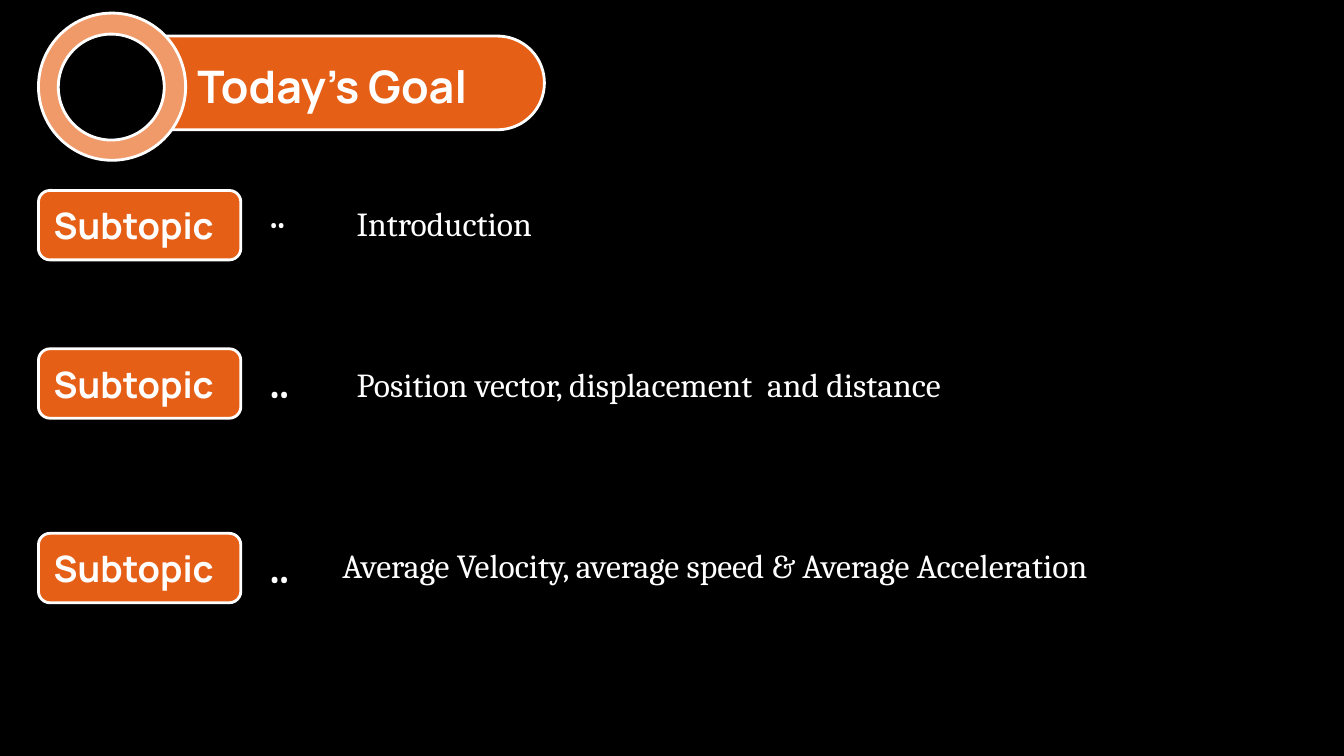
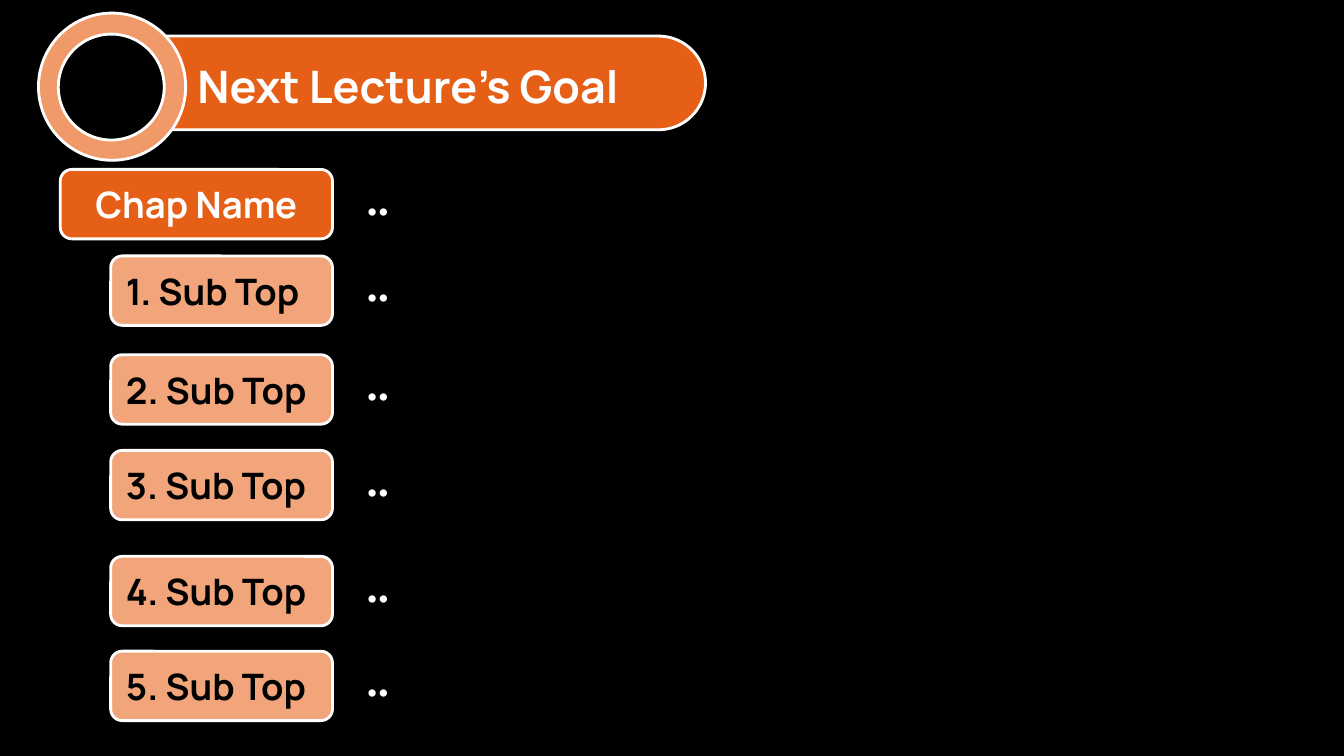
from dataclasses import dataclass

from pptx import Presentation
from pptx.dml.color import RGBColor
from pptx.enum.shapes import MSO_SHAPE
from pptx.enum.text import MSO_ANCHOR, MSO_AUTO_SIZE, PP_ALIGN
from pptx.util import Cm, Pt


@dataclass(frozen=True)
class Theme:
    black: RGBColor = RGBColor(0x00, 0x00, 0x00)
    white: RGBColor = RGBColor(0xFF, 0xFF, 0xFF)
    orange: RGBColor = RGBColor(0xE5, 0x5F, 0x17)
    ring: RGBColor = RGBColor(0xF0, 0x9A, 0x6A)
    peach: RGBColor = RGBColor(0xF2, 0xA5, 0x7A)
    heading_font: str = "Manrope"
    topic_font: str = "Cambria"
    dots_font: str = "Times New Roman"
    title_size: int = 32
    label_size: int = 26
    topic_size: int = 24
    dots_size: int = 30
    outline: int = 2


THEME = Theme()
DOTS = ".."
LABEL_HEIGHT = 1.75

TODAY = {"title": "Today’s Goal", "pill_width": 11, "title_width": 8.2}
TODAY_TOPICS = [
    {"text": "Introduction", "top": 4.8, "left": 8.74,
     "drop": 0.18, "dots_drop": -0.02, "dots_size": THEME.topic_size},
    {"text": "Position vector, displacement  and distance", "top": 8.79, "left": 8.74,
     "drop": 0.25, "dots_drop": 0.07, "dots_size": THEME.dots_size},
    {"text": "Average Velocity, average speed & Average Acceleration", "top": 13.44, "left": 8.38,
     "drop": 0.17, "dots_drop": 0.07, "dots_size": THEME.dots_size},
]

NEXT = {"title": "Next Lecture’s Goal", "pill_width": 15.06, "title_width": 12.07}
CHAPTER = ("Chap Name", 4.27)
SUBTOPIC_TOPS = [6.45, 8.94, 11.35, 14.02, 16.41]


def style_text(shape, text, font, size, color, bold=True, align=PP_ALIGN.LEFT):
    frame = shape.text_frame
    frame.text = text
    frame.word_wrap = True
    frame.auto_size = MSO_AUTO_SIZE.NONE
    paragraph = frame.paragraphs[0]
    paragraph.alignment = align
    paragraph.font.name = font
    paragraph.font.size = Pt(size)
    paragraph.font.bold = bold
    paragraph.font.color.rgb = color
    return frame


def add_outlined(slide, preset, left, top, width, height, fill):
    shape = slide.shapes.add_shape(preset, Cm(left), Cm(top), Cm(width), Cm(height))
    shape.shadow.inherit = False
    shape.fill.solid()
    shape.fill.fore_color.rgb = fill
    shape.line.color.rgb = THEME.white
    shape.line.width = Pt(THEME.outline)
    return shape


def add_label(slide, text, left, top, width, fill, color, align=PP_ALIGN.LEFT):
    label = add_outlined(slide, MSO_SHAPE.FLOWCHART_ALTERNATE_PROCESS,
                         left, top, width, LABEL_HEIGHT, fill)
    frame = style_text(label, text, THEME.heading_font, THEME.label_size, color, align=align)
    frame.vertical_anchor = MSO_ANCHOR.MIDDLE
    frame.margin_left = frame.margin_right = Cm(0.3)


def add_text(slide, text, left, top, width, font, size, bold):
    box = slide.shapes.add_textbox(Cm(left), Cm(top), Cm(width), Cm(1.6))
    style_text(box, text, font, size, THEME.white, bold)


def add_goal_slide(presentation, heading):
    slide = presentation.slides.add_slide(presentation.slide_layouts[5])
    pill = add_outlined(slide, MSO_SHAPE.ROUNDED_RECTANGLE,
                        2.72, 0.91, heading["pill_width"], 2.36, THEME.orange)
    pill.adjustments[0] = 0.5
    add_outlined(slide, MSO_SHAPE.OVAL, 0.97, 0.33, 3.71, 3.71, THEME.ring)
    add_outlined(slide, MSO_SHAPE.OVAL, 1.47, 0.86, 2.67, 2.67, THEME.black)

    title = slide.shapes.title
    title.left, title.top = Cm(4.72), Cm(1.35)
    title.width, title.height = Cm(heading["title_width"]), Cm(1.63)
    frame = style_text(title, heading["title"], THEME.heading_font,
                       THEME.title_size, THEME.white)
    frame.vertical_anchor = MSO_ANCHOR.MIDDLE
    pill.element.addnext(title.element)
    return slide


def build_today(presentation):
    slide = add_goal_slide(presentation, TODAY)
    for topic in TODAY_TOPICS:
        top = topic["top"]
        add_label(slide, "Subtopic", 0.97, top, 5.1, THEME.orange, THEME.white)
        add_text(slide, DOTS, 6.55, top + topic["dots_drop"], 1.8,
                 THEME.topic_font, topic["dots_size"], True)
        add_text(slide, topic["text"], topic["left"], top + topic["drop"], 24,
                 THEME.topic_font, THEME.topic_size, False)


def build_next(presentation):
    slide = add_goal_slide(presentation, NEXT)
    chapter, chapter_top = CHAPTER
    add_label(slide, chapter, 1.52, chapter_top, 6.86, THEME.orange, THEME.white,
              PP_ALIGN.CENTER)
    for number, top in enumerate(SUBTOPIC_TOPS, start=1):
        add_label(slide, f"{number}. Sub Top", 2.79, top, 5.59, THEME.peach, THEME.black)
    for top in [chapter_top, *SUBTOPIC_TOPS]:
        add_text(slide, DOTS, 8.99, top - 0.1, 23.6, THEME.dots_font, THEME.title_size, True)


def main():
    presentation = Presentation()
    presentation.slide_width, presentation.slide_height = Cm(33.87), Cm(19.05)
    background = presentation.slide_master.background.fill
    background.solid()
    background.fore_color.rgb = THEME.black
    build_today(presentation)
    build_next(presentation)
    presentation.save("out.pptx")


if __name__ == "__main__":
    main()
